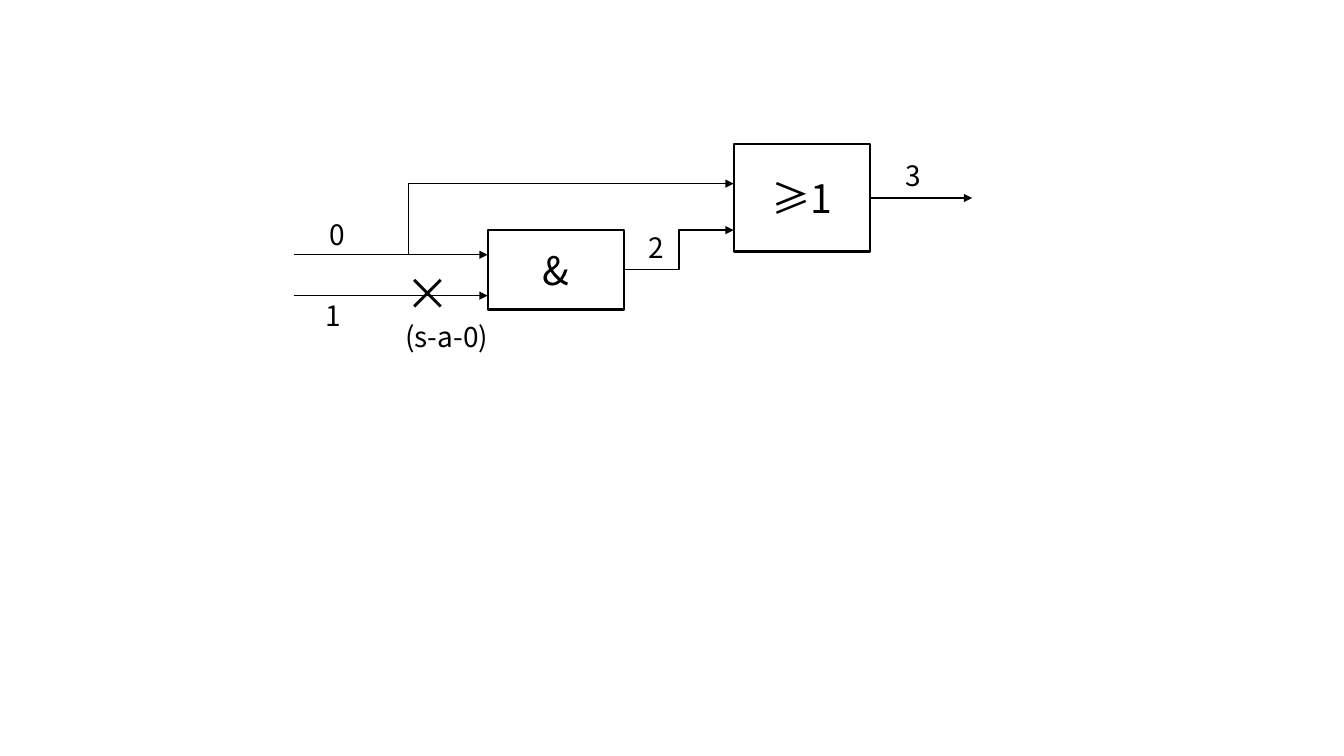
"""Draw a two-gate logic circuit with a stuck-at-0 fault on input 1."""
from dataclasses import dataclass

from lxml import etree
from pptx import Presentation
from pptx.dml.color import RGBColor
from pptx.enum.shapes import MSO_CONNECTOR, MSO_SHAPE
from pptx.enum.text import MSO_ANCHOR, MSO_AUTO_SIZE, PP_ALIGN
from pptx.oxml.ns import qn
from pptx.util import Cm, Pt

STRAIGHT, ELBOW = MSO_CONNECTOR.STRAIGHT, MSO_CONNECTOR.ELBOW
RECTANGLE = MSO_SHAPE.RECTANGLE
MIDDLE, CENTER = MSO_ANCHOR.MIDDLE, PP_ALIGN.CENTER
GROW = MSO_AUTO_SIZE.SHAPE_TO_FIT_TEXT


@dataclass(frozen=True)
class Theme:
    ink: RGBColor = RGBColor(0, 0, 0)
    font: str = "Noto Sans CJK SC"
    gate_size: int = 28
    label_size: int = 20
    fault_size: int = 32
    gate_line: float = 1.5
    wire_line: float = 1


theme = Theme()


def add_run(paragraph, text, size):
    run = paragraph.add_run()
    run.text = text
    run.font.size = Pt(size)
    run.font.name = theme.font
    run.font.color.rgb = theme.ink
    properties = run.font._element
    properties.set("lang", "zh-CN")
    etree.SubElement(properties, qn("a:ea"), typeface=theme.font)


presentation = Presentation()
presentation.slide_width, presentation.slide_height = Cm(33.87), Cm(19.05)
slide = presentation.slides.add_slide(presentation.slide_layouts[6])
circuit = slide.shapes.add_group_shape()

gates = [
    ("&", 12.29, 5.8, 2.0),
    ("≥1", 18.49, 3.64, 2.7),
]
for symbol, left, top, height in gates:
    gate = circuit.shapes.add_shape(RECTANGLE, Cm(left), Cm(top), Cm(3.44), Cm(height))
    gate.shadow.inherit = False
    gate.fill.background()
    gate.line.color.rgb = theme.ink
    gate.line.width = Pt(theme.gate_line)
    gate.text_frame.vertical_anchor = MIDDLE
    paragraph = gate.text_frame.paragraphs[0]
    paragraph.alignment = CENTER
    add_run(paragraph, symbol, theme.gate_size)

wires = [
    (STRAIGHT, 7.4, 6.42, 12.29, 6.42, None),
    (STRAIGHT, 7.4, 7.45, 12.29, 7.45, None),
    (ELBOW, 10.46, 6.42, 18.49, 4.63, -0.02),
    (ELBOW, 15.73, 6.8, 18.49, 5.8, 0.5),
    (STRAIGHT, 21.93, 4.99, 24.5, 4.99, None),
]
for kind, start_x, start_y, end_x, end_y, bend in wires:
    wire = circuit.shapes.add_connector(kind, Cm(start_x), Cm(start_y), Cm(end_x), Cm(end_y))
    wire.line.color.rgb = theme.ink
    wire.line.width = Pt(theme.wire_line)
    properties = wire._element.spPr
    etree.SubElement(properties.find(qn("a:ln")), qn("a:tailEnd"), type="triangle")
    etree.SubElement(properties, qn("a:effectLst"))
    if bend is not None:
        adjustments = properties.find(qn("a:prstGeom")).find(qn("a:avLst"))
        etree.SubElement(adjustments, qn("a:gd"), name="adj1", fmla=f"val {round(bend * 100000)}")

labels = [
    (8.05, 5.36, 1.9, 1.11, [("0", theme.label_size)]),
    (7.95, 7.4, 1.9, 1.11, [("1", theme.label_size)]),
    (16.1, 5.69, 1.5, 1.11, [("2", theme.label_size)]),
    (22.58, 3.86, 1.9, 1.11, [("3", theme.label_size)]),
    (9.96, 6.58, 2.77, 2.49, [("×", theme.fault_size), ("(s-a-0)", theme.label_size)]),
]
for left, top, width, height, lines in labels:
    label = circuit.shapes.add_textbox(Cm(left), Cm(top), Cm(width), Cm(height))
    frame = label.text_frame
    frame.word_wrap = True
    frame.auto_size = GROW
    for index, (text, size) in enumerate(lines):
        paragraph = frame.add_paragraph() if index else frame.paragraphs[0]
        add_run(paragraph, text, size)

presentation.save("out.pptx")
